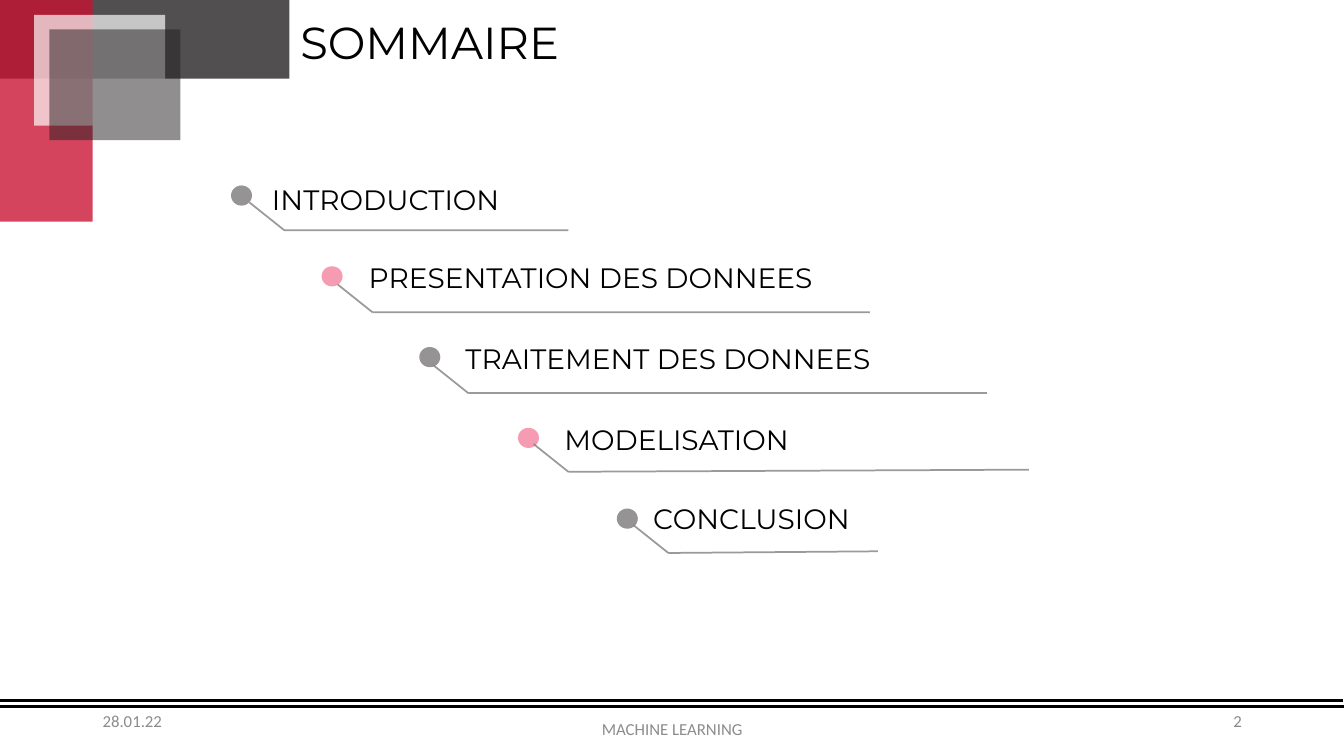
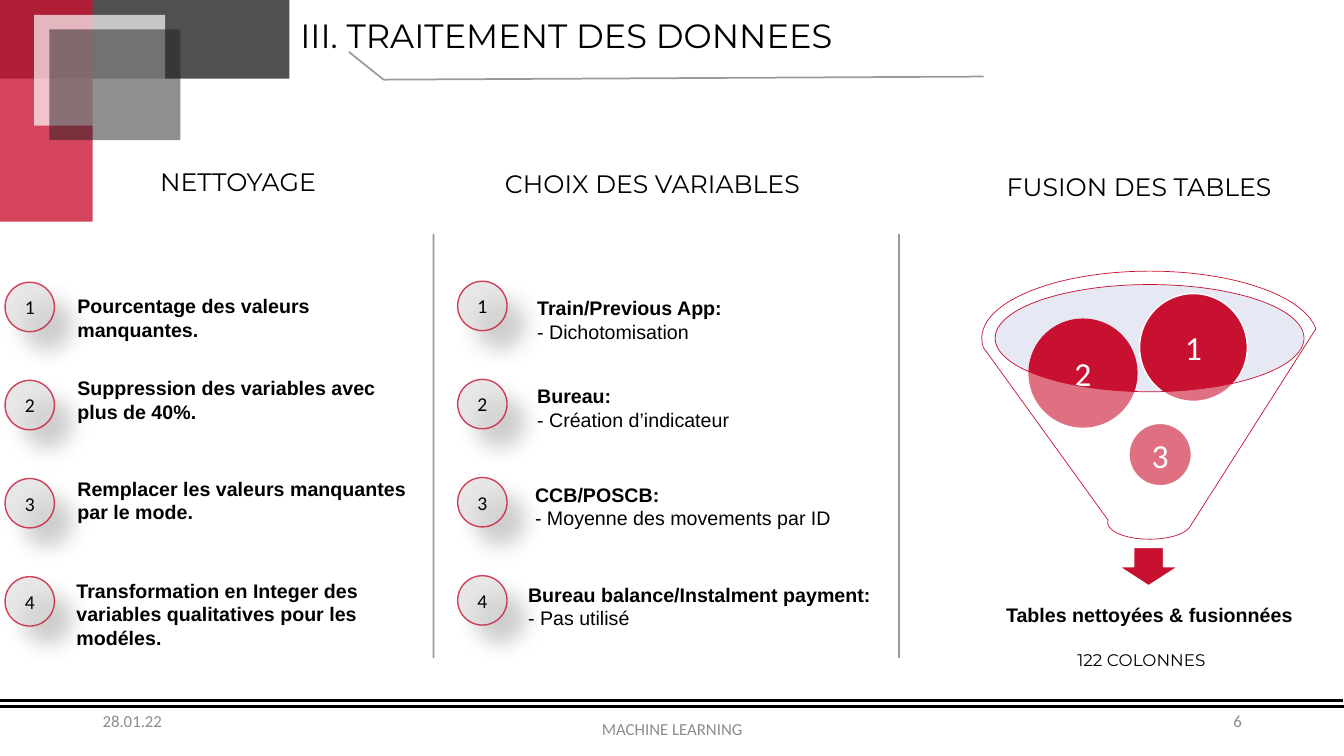
"""Two slides of a machine learning deck: the agenda and data treatment."""
from dataclasses import dataclass
from typing import Any, NamedTuple, Optional

from lxml import etree
from pptx import Presentation
from pptx.dml import color
from pptx.enum import shapes as kinds, text as modes
from pptx.oxml import ns
from pptx.util import Pt

FORM = kinds.MSO_SHAPE
SIDE = modes.PP_ALIGN
HOLD = modes.MSO_ANCHOR


@dataclass(frozen=True)
class Theme:
    """Colours, fonts and type sizes of the deck."""
    black: str = "000000"
    white: str = "FFFFFF"
    ink: str = "221E1F"
    red: str = "C81130"
    pink: str = "EC3260"
    gray: str = "808080"
    pale: str = "D9D9D9"
    blue: str = "C1C9E4"
    foot: str = "8C8C8C"
    page: str = "898989"
    head: str = "Montserrat"
    body: str = "Arial"
    plain: str = "Calibri"
    big: int = 32
    mid: int = 24
    list: int = 20
    sub: int = 18
    text: int = 14
    small: int = 12


LOOK = Theme()


class Box(NamedTuple):
    """Left, top, width and height in points."""
    x: float
    y: float
    w: float
    h: float


class Font(NamedTuple):
    """Face, size and colour of a text."""
    face: str
    size: int
    tint: str = LOOK.black


class Paint(NamedTuple):
    """Fill or line colour with its opacity and line width."""
    tint: str
    alpha: int = 100
    width: float = 0


class Line(NamedTuple):
    """One paragraph."""
    words: str
    bold: bool = False


class Step(NamedTuple):
    """Agenda entry: name, dot left, text place, bend and line end."""
    name: str
    dot: float
    left: float
    top: float
    width: float
    bend: tuple[float, float]
    end: tuple[float, float]


class Item(NamedTuple):
    """Numbered note: text box and its paragraphs."""
    box: Box
    lines: list[Line]


class Ball(NamedTuple):
    """Ball in the funnel."""
    label: str
    box: Box
    edge: str


RULE = Paint(LOOK.gray, 79, 1.25)
BADGE = 35.3
DOT = (15, 14.4)

BANDS = [
    (Box(-0.7, -0.7, 207.4, 56.9), Paint(LOOK.ink, 78)),
    (Box(-0.7, -0.7, 67, 159), Paint(LOOK.red, 78)),
    (Box(24.5, 10.6, 93.6, 79.2), Paint(LOOK.white, 68)),
    (Box(35.3, 21, 93.6, 79.2), Paint(LOOK.ink, 50)),
]

STEPS = [
    Step("INTRODUCTION", 165, 187.2, 126.7, 508, (203, 164.4), (406, 164.4)),
    Step("PRESENTATION DES DONNEES", 229.7, 256.3, 182.2, 552, (266, 223), (621.4, 223)),
    Step("TRAITEMENT DES DONNEES", 299.5, 325.4, 240.5, 634, (334.5, 280.8), (705, 280.8)),
    Step("MODELISATION", 370, 396, 298.1, 472, (406, 337), (735, 335.5)),
    Step("CONCLUSION", 440.6, 459.4, 355, 472, (477.4, 395), (627, 393.8)),
]

HEADS = [
    ("NETTOYAGE", Box(107.3, 115.2, 140.4, 29)),
    ("CHOIX DES VARIABLES", Box(353.5, 116.8, 267, 29)),
    ("FUSION DES TABLES", Box(712, 118.8, 238.3, 29)),
]

CLEAN = [
    Item(Box(48.2, 206.6, 252.4, 41), [Line("Pourcentage des valeurs manquantes.", True)]),
    Item(Box(48.2, 265, 252.7, 41), [Line("Suppression des variables avec plus de 40%.", True)]),
    Item(Box(48.2, 337, 252.7, 41),
         [Line("Remplacer les valeurs manquantes par le mode.", True)]),
    Item(Box(47.5, 409.7, 252.7, 58.3),
         [Line("Transformation en Integer des variables qualitatives pour les modéles.", True)]),
]

PICKS = [
    Item(Box(376.6, 208, 252, 41),
         [Line("Train/Previous App:", True), Line("- Dichotomisation")]),
    Item(Box(376.6, 271, 252, 41),
         [Line("Bureau:", True), Line("- Création d’indicateur")]),
    Item(Box(375.1, 341.3, 252, 41),
         [Line("CCB/POSCB:", True), Line("- Moyenne des movements par ID")]),
    Item(Box(370.1, 412.6, 272.2, 41),
         [Line("Bureau balance/Instalment payment:", True), Line("- Pas utilisé")]),
]

BALLS = [
    Ball("3", Box(806.4, 302.4, 44.6, 44.6), LOOK.white),
    Ball("2", Box(735.1, 228, 77, 77), LOOK.red),
    Ball("1", Box(814, 209.7, 77, 77), LOOK.white),
]


def put(thing: Any, **values: Any) -> None:
    """Set every given attribute on an object."""
    for name, value in values.items():
        setattr(thing, name, value)


def tint(fill: Any, node: Any, paint: Paint) -> None:
    """Make a fill solid, with opacity, where node holds its solidFill."""
    fill.solid()
    fill.fore_color.rgb = color.RGBColor.from_string(paint.tint)
    if paint.alpha < 100:
        mark = node.find(ns.qn("a:solidFill"))[0]
        etree.SubElement(mark, ns.qn("a:alpha"), val=str(paint.alpha * 1000))


def stroke(thing: Any, paint: Paint) -> None:
    """Style the outline of a shape or connector."""
    thing.line.width = Pt(paint.width)
    edge = thing._element.spPr.find(ns.qn("a:ln"))
    tint(thing.line.fill, edge, paint)


def write(frame: Any, lines: list[Line], font: Font, align: Any = SIDE.LEFT,
          **values: Any) -> None:
    """Fill a text frame with paragraphs in one font."""
    put(frame, **{"word_wrap": True, **values})
    for spot, line in enumerate(lines):
        para = frame.paragraphs[0] if spot == 0 else frame.add_paragraph()
        para.alignment = align
        run = para.add_run()
        run.text = line.words
        put(run.font, name=font.face, size=Pt(font.size), bold=line.bold)
        run.font.color.rgb = color.RGBColor.from_string(font.tint)


def label(slide: Any, box: Box, lines: list[Line], font: Font,
          align: Any = SIDE.LEFT, **values: Any) -> None:
    """Add a text box."""
    area = slide.shapes.add_textbox(*map(Pt, box))
    write(area.text_frame, lines, font, align, **values)


def form(slide: Any, kind: Any, box: Box, fill: Paint,
         edge: Optional[Paint] = None) -> Any:
    """Add a preset shape without shadow."""
    shape = slide.shapes.add_shape(kind, *map(Pt, box))
    shape.shadow.inherit = False
    tint(shape.fill, shape._element.spPr, fill)
    if edge:
        stroke(shape, edge)
    else:
        shape.line.fill.background()
    return shape


def rule(slide: Any, start: tuple[float, float], end: tuple[float, float],
         paint: Paint = RULE) -> None:
    """Add a straight line."""
    line = slide.shapes.add_connector(
        kinds.MSO_CONNECTOR.STRAIGHT, *map(Pt, (*start, *end)))
    stroke(line, paint)
    etree.SubElement(line._element.spPr, ns.qn("a:effectLst"))


def hook(slide: Any, bend: tuple[float, float], end: tuple[float, float]) -> None:
    """Add a slanted tick followed by an underline."""
    rule(slide, (bend[0] - 24.8, bend[1] - 19.8), bend)
    rule(slide, bend, end)


def shade(shape: Any) -> None:
    """Give a shape a soft shadow to the lower right."""
    cast = etree.SubElement(
        shape._element.spPr.find(ns.qn("a:effectLst")), ns.qn("a:outerShdw"),
        blurRad=str(Pt(15)), dist=str(Pt(18)), dir=str(45 * 60000),
        algn="tl", rotWithShape="0")
    mark = etree.SubElement(cast, ns.qn("a:srgbClr"), val=LOOK.black)
    etree.SubElement(mark, ns.qn("a:alpha"), val="30000")


def disc(slide: Any, box: Box, words: str, font: Font, fill: Paint,
         edge: Paint) -> Any:
    """Add a circle with a centred label."""
    shape = form(slide, FORM.OVAL, box, fill, edge)
    write(shape.text_frame, [Line(words)], font, SIDE.CENTER,
          vertical_anchor=HOLD.MIDDLE, margin_left=0, margin_right=0,
          margin_top=0, margin_bottom=0)
    return shape


def base(deck: Any, title: str, size: int, box: Box, page: int) -> Any:
    """Add a slide with the shared bands, title and footer."""
    slide = deck.slides.add_slide(deck.slide_layouts[6])
    for left, y in ((0, 504.7), (-0.7, 500.4)):
        rule(slide, (left, y), (left + 960, y), Paint(LOOK.black, 100, 2))
    for band, paint in BANDS:
        form(slide, FORM.RECTANGLE, band, paint)
    gray = Font(LOOK.plain, LOOK.small, LOOK.foot)
    for words, spot, font, align in (
            (str(page), Box(678.2, 500.4, 216, 28.8),
             gray._replace(tint=LOOK.page), SIDE.RIGHT),
            ("MACHINE LEARNING", Box(318.2, 506.2, 324, 28.8), gray, SIDE.CENTER),
            ("28.01.22", Box(66.2, 500.4, 216, 28.8), gray, SIDE.LEFT)):
        label(slide, spot, [Line(words)], font, align, vertical_anchor=HOLD.MIDDLE)
    label(slide, box, [Line(title)], Font(LOOK.head, size))
    return slide


def plan(deck: Any) -> None:
    """Draw the agenda slide."""
    slide = base(deck, "SOMMAIRE", LOOK.big, Box(207.4, 7.2, 288.7, 46), 2)
    for spot, step in enumerate(STEPS):
        hue = LOOK.pink if spot % 2 else LOOK.ink
        form(slide, FORM.OVAL, Box(step.dot, 132.5 + 57.7 * spot, *DOT), Paint(hue, 48))
        label(slide, Box(step.left, step.top, step.width, 31.7), [Line(step.name)],
              Font(LOOK.head, LOOK.list))
        hook(slide, step.bend, step.end)


def notes(slide: Any, left: float, top: float, items: list[Item]) -> None:
    """Draw a column of numbered badges with their notes."""
    for spot, item in enumerate(items):
        badge = disc(slide, Box(left, top + 70.1 * spot, BADGE, BADGE), str(spot + 1),
                     Font(LOOK.plain, LOOK.text), Paint(LOOK.pale, 61),
                     Paint(LOOK.red, 78, 1))
        shade(badge)
        label(slide, item.box, item.lines, Font(LOOK.body, LOOK.text))


def merge(slide: Any) -> None:
    """Draw the funnel, its balls and the result below."""
    form(slide, FORM.OVAL, Box(710, 203, 221, 77), Paint(LOOK.blue, 40))
    form(slide, FORM.DOWN_ARROW, Box(799.2, 391, 42.5, 27.4), Paint(LOOK.red),
         Paint(LOOK.white, 100, 1))
    label(slide, Box(696.2, 424, 249.8, 30.2),
          [Line("Tables nettoyées & fusionnées", True)],
          Font(LOOK.body, LOOK.text), SIDE.CENTER, vertical_anchor=HOLD.MIDDLE)
    for ball in BALLS:
        disc(slide, ball.box, ball.label, Font(LOOK.plain, LOOK.mid, LOOK.white),
             Paint(LOOK.red), Paint(ball.edge, 100, 1))
    form(slide, FORM.FUNNEL, Box(701.3, 193.7, 239.8, 191.5), Paint(LOOK.white, 40),
         Paint(LOOK.red, 100, 0.5))
    label(slide, Box(762.5, 460.8, 138.2, 21.6), [Line("122 COLONNES")],
          Font(LOOK.head, LOOK.small))


def treat(deck: Any) -> None:
    """Draw the data treatment slide."""
    slide = base(deck, "III. TRAITEMENT DES DONNEES", LOOK.mid,
                 Box(207.4, 7.2, 615.6, 36.7), 6)
    hook(slide, (274, 56.9), (702.7, 54.7))
    for x in (309.6, 642.2):
        rule(slide, (x, 167), (x, 470))
    for words, box in HEADS:
        label(slide, box, [Line(words)], Font(LOOK.head, LOOK.sub))
    notes(slide, 3.6, 201.6, CLEAN)
    notes(slide, 326.9, 200.9, PICKS)
    merge(slide)


def main() -> None:
    """Build and save the deck."""
    deck = Presentation()
    put(deck, slide_width=Pt(960), slide_height=Pt(540))
    plan(deck)
    treat(deck)
    deck.save("out.pptx")


main()
